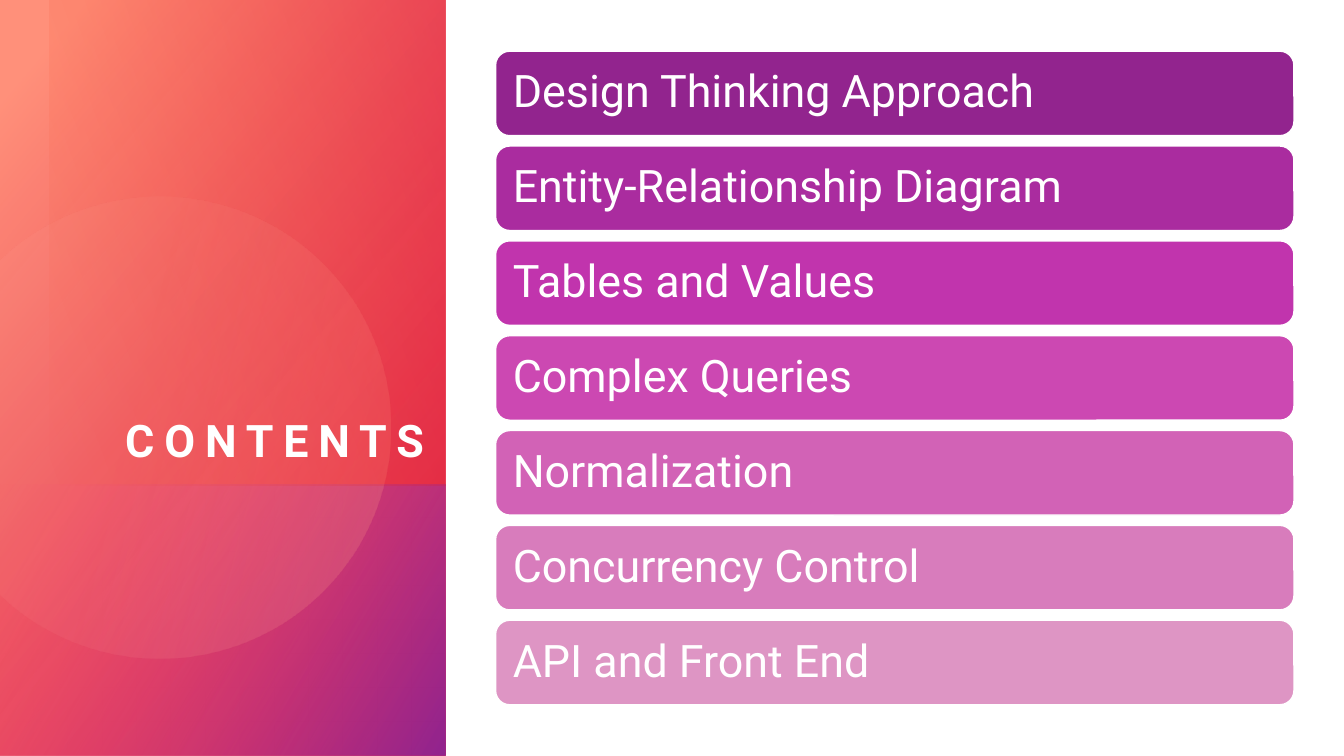
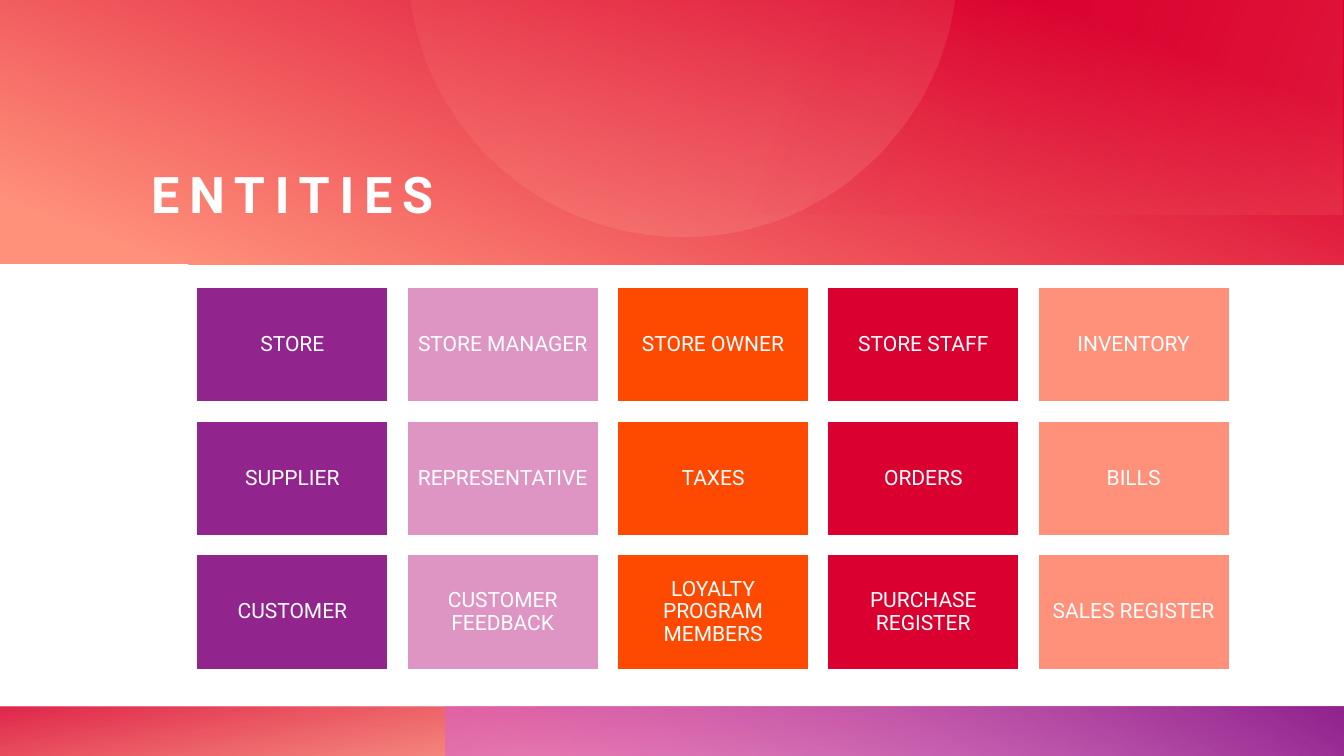
"""Build the contents and entities slides of a database project deck."""
from dataclasses import dataclass
from math import ceil, cos, radians, sin

from lxml.etree import SubElement
from pptx import Presentation
from pptx.dml.color import RGBColor as Rgb
from pptx.enum.shapes import MSO_SHAPE as Kind
from pptx.enum.text import MSO_ANCHOR as Anchor, MSO_AUTO_SIZE as Fit, PP_ALIGN as Align
from pptx.oxml.ns import qn
from pptx.util import Cm, Pt


@dataclass(frozen=True)
class Theme:
    font: str = "Roboto"
    white: str = "FFFFFF"
    plum: str = "92248E"
    pink: str = "DE95C4"
    flame: str = "FE4A00"
    red: str = "DA002F"
    peach: str = "FF907A"
    blush: str = "FFBCAF"
    rose: str = "FF5076"
    orchid: str = "D861D4"
    ramp: tuple = ("92248E", "AA2C9F", "C134AD", "CC48B2", "D262B6", "D87CBC", "DE95C4")
    head: int = 36
    side: int = 32
    item: int = 32
    cell: int = 15


T = Theme()


def write(shape, text, size, align=Align.LEFT, anchor=Anchor.MIDDLE,
          bold=False, track=0, lead=1.0, pad=0.0):
    frame = shape.text_frame
    frame.text = text
    frame.word_wrap = True
    frame.auto_size = Fit.NONE
    frame.vertical_anchor = anchor
    frame.margin_left = frame.margin_right = Cm(pad)
    frame.margin_top = frame.margin_bottom = Cm(0)
    para = frame.paragraphs[0]
    para.alignment = align
    para.line_spacing = lead
    font = para.runs[0].font
    font.name, font.size, font.bold = T.font, Pt(size), bold
    font.color.rgb = Rgb.from_string(T.white)
    if track:
        para.runs[0]._r.get_or_add_rPr().set("spc", str(track * 100))


def blend(shape, angle, *stops):
    shape.shadow.inherit = False
    shape.line.fill.background()
    shape.fill.gradient()
    shape.fill.gradient_angle = 360 - angle
    for stop, (place, color, alpha) in zip(shape.fill.gradient_stops, stops):
        stop.position = place / 100
        stop.color.rgb = Rgb.from_string(color)
        SubElement(stop._gs[0], qn("a:alpha")).set("val", str(alpha * 1000))


deck = Presentation()
wide, high = deck.slide_width, deck.slide_height = Cm(33.87), Cm(19.05)
layout = deck.slide_layouts[5]

pages = [
    dict(
        title="CONTENTS", box=(1.27, 2.41, 9.42, 9.35), size=T.side, align=Align.RIGHT,
        shared=False,
        back=[
            ((-3.91, 3.91, 19.05, 11.23), 270, 50, (8, T.peach, 100), (100, T.red, 89)),
            ((2.2, 10.02, 6.83, 11.23), 270, 60, (0, T.rose, 0), (99, T.plum, 100)),
        ],
        disk=(4.03, 10.78, 5.82), arc=(-133.83, 133.83),
        glow=(14, (36, T.blush, 6), (100, T.peach, 26)),
        front=((0.13, 1.14, 12.22, 9.96), 90, 110, (0, T.red, 29), (100, T.flame, 0)),
        cards=["Design Thinking Approach", "Entity-Relationship Diagram", "Tables and Values",
               "Complex Queries", "Normalization", "Concurrency Control", "API and Front End"],
        fills=T.ramp, cols=1, grid=(12.49, 1.29, 0, 2.39), cell=(20.12, 2.13),
        kind=Kind.ROUNDED_RECTANGLE,
        look=dict(size=T.item, pad=0.33),
    ),
    dict(
        title="ENTITIES", box=(3.81, 2.21, 28.45, 3.43), size=T.head, align=Align.LEFT,
        shared=True,
        back=[
            ((0, 17.8, 33.87, 1.27), 180, 100, (14, T.flame, 28), (100, T.red, 85)),
            ((11.23, 17.8, 22.64, 1.27), 0, 240, (9, T.orchid, 55), (99, T.plum, 100)),
            ((0, 0, 33.87, 6.66), 180, 70, (8, T.peach, 100), (86, T.red, 100)),
        ],
        disk=(17.2, -0.96, 6.93), arc=(7.96, 172.04),
        glow=(77, (0, T.peach, 12), (100, T.blush, 20)),
        front=((11.28, 0, 22.56, 5.41), 0, 340, (0, T.peach, 16), (62, T.red, 0)),
        cards=["STORE", "STORE MANAGER", "STORE OWNER", "STORE STAFF", "INVENTORY",
               "SUPPLIER", "REPRESENTATIVE", "TAXES", "ORDERS", "BILLS",
               "CUSTOMER", "CUSTOMER FEEDBACK", "LOYALTY PROGRAM MEMBERS",
               "PURCHASE REGISTER", "SALES REGISTER"],
        fills=(T.plum, T.pink, T.flame, T.red, T.peach), cols=5,
        grid=(4.96, 7.24, 5.3, 3.37), cell=(4.82, 2.89), kind=Kind.RECTANGLE,
        look=dict(size=T.cell, pad=0.15, align=Align.CENTER),
    ),
]

for page in pages:
    slide = deck.slides.add_slide(layout)
    shapes = slide.shapes
    art = []

    if not page["shared"]:
        cover = shapes.add_shape(Kind.RECTANGLE, 0, 0, wide, high)
        cover.shadow.inherit = False
        cover.line.fill.background()
        cover.fill.solid()
        cover.fill.fore_color.rgb = Rgb.from_string(T.white)

    for layer in [*page["back"], None, page["front"]]:
        if layer is None:
            midx, midy, rad = page["disk"]
            start, end = page["arc"]
            turns = [start, *range(ceil(start / 90) * 90, ceil(end), 90), end]
            rim = [(Cm(midx + rad * cos(radians(deg))), Cm(midy + rad * sin(radians(deg))))
                   for deg in turns]
            pen = shapes.build_freeform(*rim[0])
            pen.add_line_segments(rim[1:])
            disk = pen.convert_to_shape()
            lines = list(disk._element.iter(qn("a:lnTo")))
            curve = SubElement(lines[0].getparent(), qn("a:arcTo"))
            for key, value in (("wR", Cm(rad)), ("hR", Cm(rad)),
                               ("stAng", round(start % 360 * 60000)),
                               ("swAng", round((end - start) * 60000))):
                curve.set(key, str(int(value)))
            lines[0].addprevious(curve)
            for line in lines:
                line.getparent().remove(line)
            blend(disk, *page["glow"])
            art.append(disk)
            continue
        place, turn, angle, *stops = layer
        panel = shapes.add_shape(Kind.RECTANGLE, *map(Cm, place))
        panel.rotation = turn
        panel._element.spPr.xfrm.set("flipH", "1")
        blend(panel, angle, *stops)
        art.append(panel)

    if page["shared"]:
        for i, part in enumerate(art):
            part._element.nvSpPr.cNvPr.set("id", str(50 + i))
            layout.shapes._spTree.insert(2 + i, part._element)

    title = shapes.title
    shapes._spTree.append(title._element)
    title.left, title.top, title.width, title.height = map(Cm, page["box"])
    write(title, page["title"], page["size"], align=page["align"],
          anchor=Anchor.BOTTOM, bold=True, track=7)

    left, top, stepx, stepy = page["grid"]
    for i, text in enumerate(page["cards"]):
        row, col = divmod(i, page["cols"])
        spot = (left + col * stepx, top + row * stepy, *page["cell"])
        card = shapes.add_shape(page["kind"], *map(Cm, spot))
        card.shadow.inherit = False
        card.fill.solid()
        card.fill.fore_color.rgb = Rgb.from_string(page["fills"][i % len(page["fills"])])
        card.line.color.rgb = Rgb.from_string(T.white)
        card.line.width = Pt(1)
        write(card, text, lead=0.9, **page["look"])

deck.save("out.pptx")
